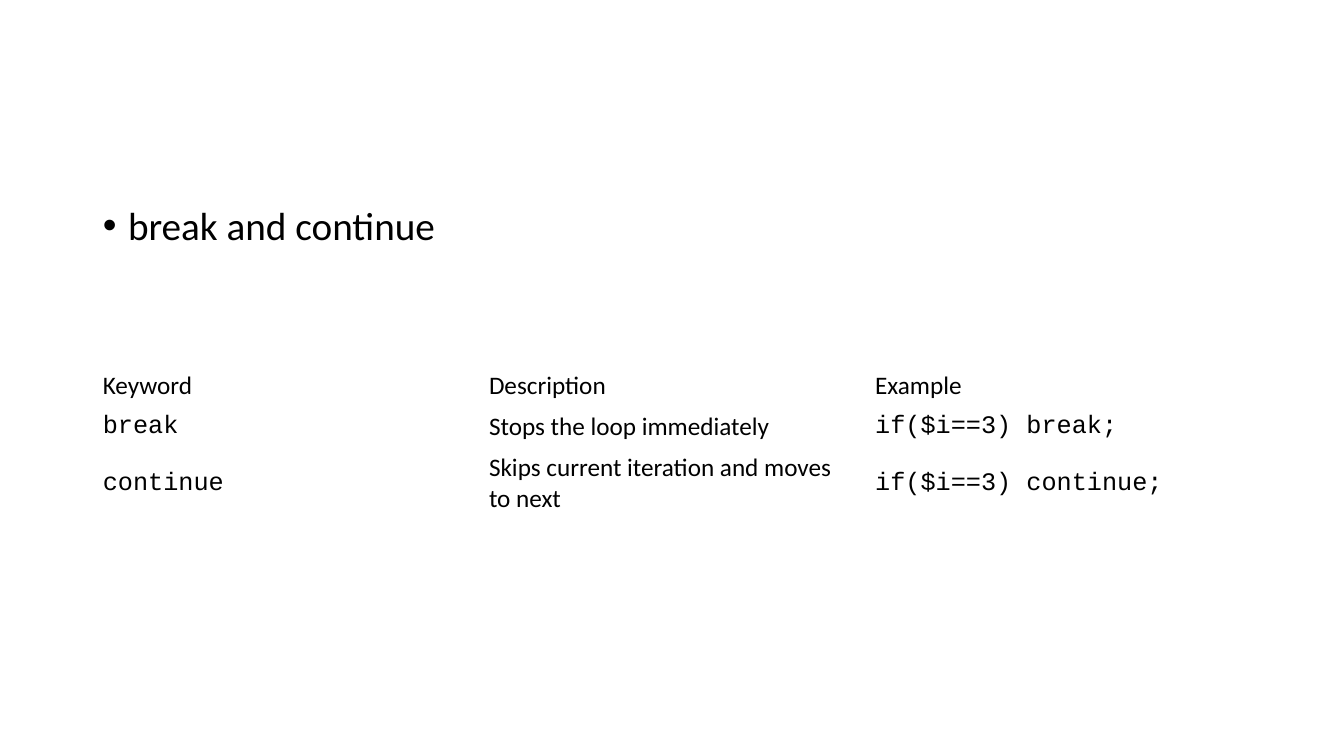
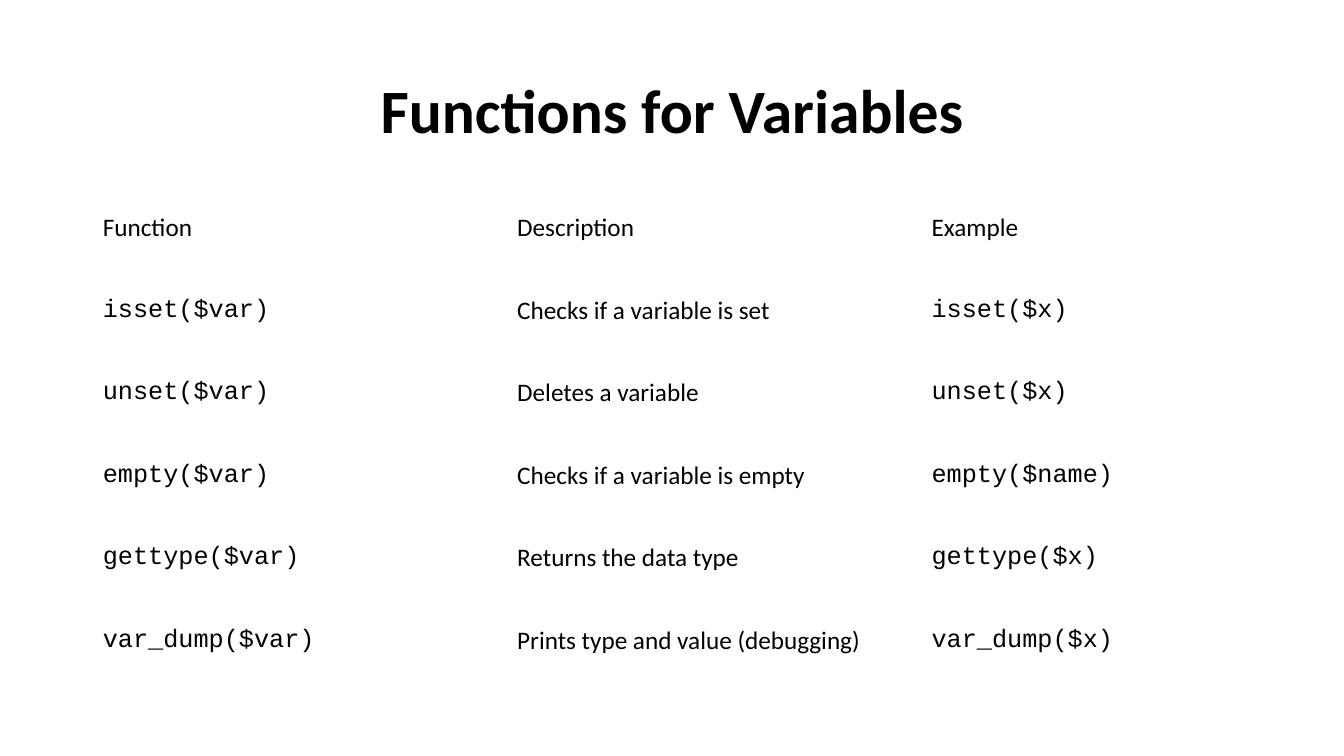
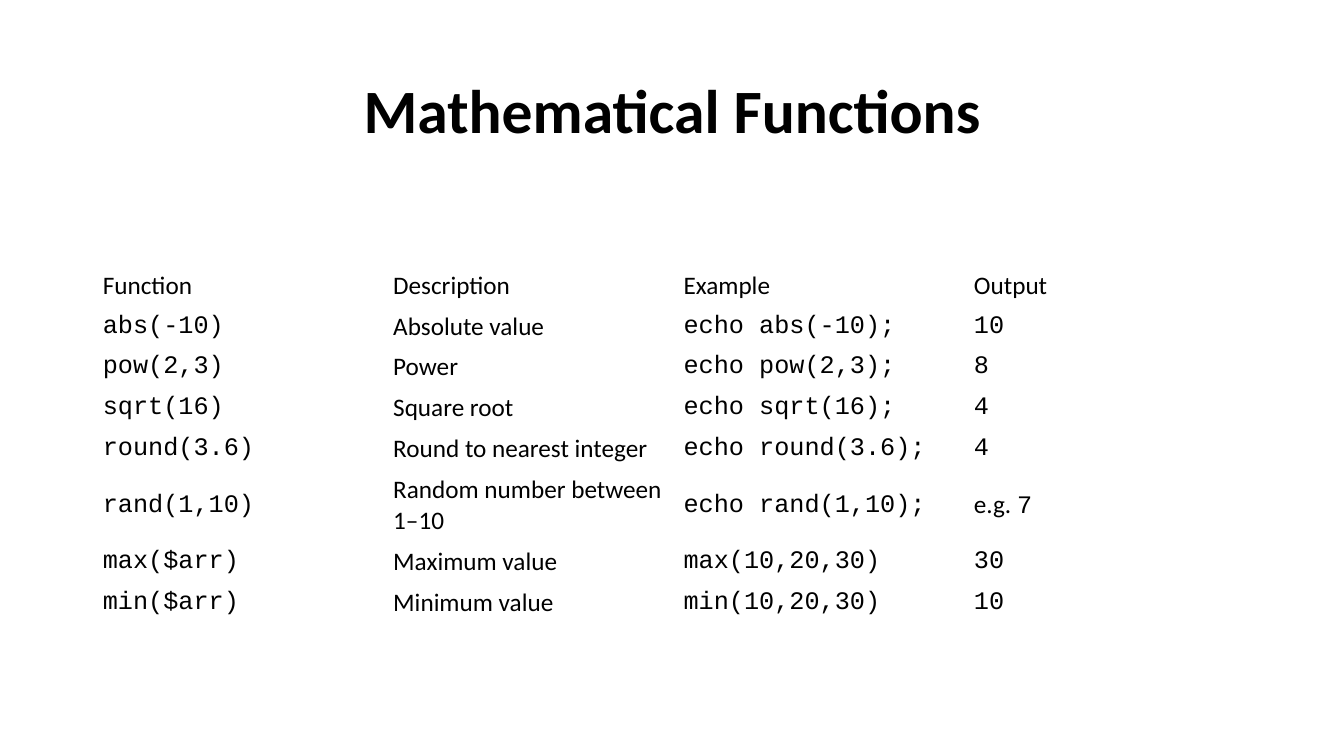
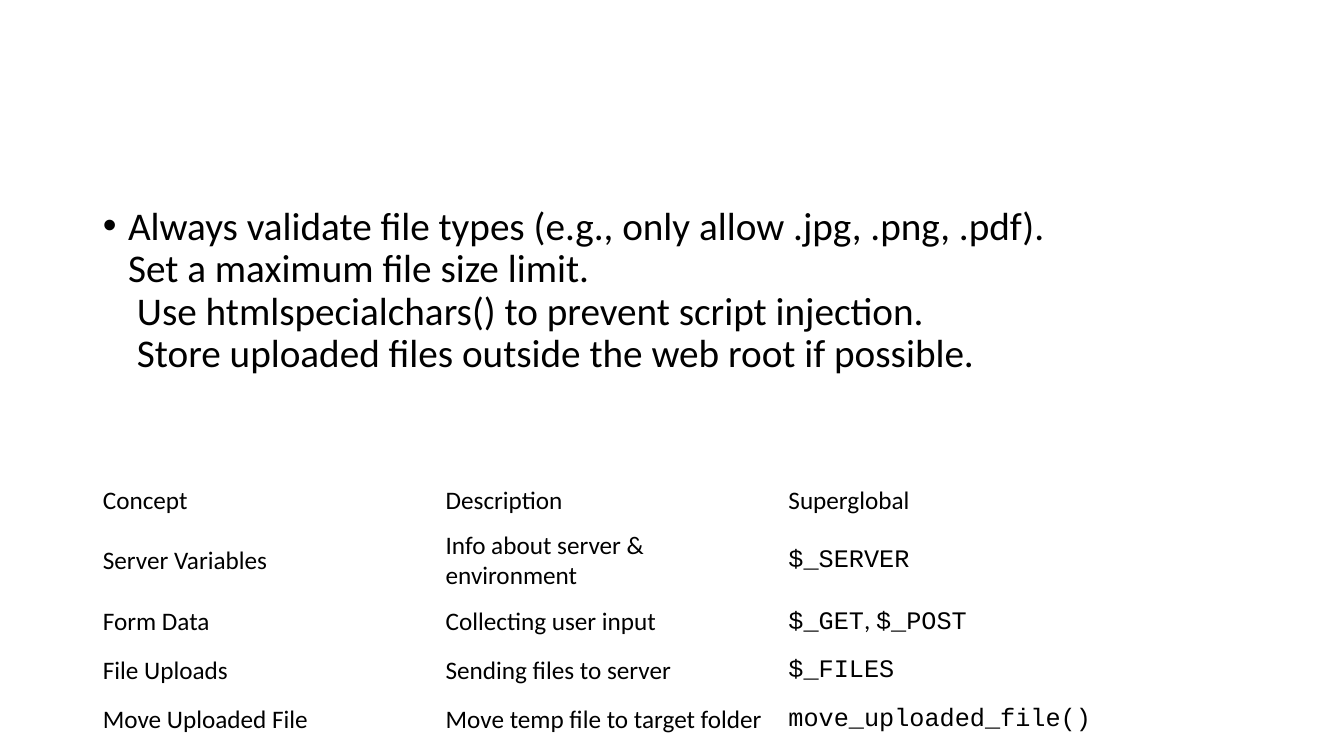
"""Build four slides of PHP reference tables."""
import copy

import pptx
import pptx.dml.color
import pptx.enum.text
import pptx.oxml
import pptx.oxml.ns
import pptx.util

Inches = pptx.util.Inches
Pt = pptx.util.Pt

COLORS = {"text": "000000"}
TEXT_FONT, CODE_FONT = "Calibri", "Courier New"
CODE_MARK = "`"
LEFT, WIDTH = 0.92, 11.5
TITLE_LAYOUT, BODY_LAYOUT = 5, 1

SLIDES = [
    {
        "body": "break and continue",
        "top": 3.63, "column": 3.83, "row": 0.4,
        "cells": [
            ("Keyword", "Description", "Example"),
            ("`break`", "Stops the loop immediately", "`if($i==3) break;`"),
            ("`continue`", "Skips current iteration and moves to next", "`if($i==3) continue;`"),
        ],
    },
    {
        "title": "Functions for Variables",
        "top": 1.85, "column": 4.11, "row": 0.82,
        "cells": [
            ("Function", "Description", "Example"),
            ("`isset($var)`", "Checks if a variable is set", "`isset($x)`"),
            ("`unset($var)`", "Deletes a variable", "`unset($x)`"),
            ("`empty($var)`", "Checks if a variable is empty", "`empty($name)`"),
            ("`gettype($var)`", "Returns the data type", "`gettype($x)`"),
            ("`var_dump($var)`", "Prints type and value (debugging)", "`var_dump($x)`"),
        ],
    },
    {
        "title": "Mathematical Functions",
        "top": 2.63, "column": 2.88, "row": 0.4,
        "cells": [
            ("Function", "Description", "Example", "Output"),
            ("`abs(-10)`", "Absolute value", "`echo abs(-10);`", "`10`"),
            ("`pow(2,3)`", "Power", "`echo pow(2,3);`", "`8`"),
            ("`sqrt(16)`", "Square root", "`echo sqrt(16);`", "`4`"),
            ("`round(3.6)`", "Round to nearest integer", "`echo round(3.6);`", "`4`"),
            ("`rand(1,10)`", "Random number between 1–10", "`echo rand(1,10);`", "e.g. `7`"),
            ("`max($arr)`", "Maximum value", "`max(10,20,30)`", "`30`"),
            ("`min($arr)`", "Minimum value", "`min(10,20,30)`", "`10`"),
        ],
    },
    {
        "body": "Always validate file types (e.g., only allow .jpg, .png, .pdf).\n"
                "Set a maximum file size limit.\n"
                " Use htmlspecialchars() to prevent script injection.\n"
                " Store uploaded files outside the web root if possible.",
        "top": 4.72, "column": 3.4, "row": 0.49,
        "cells": [
            ("Concept", "Description", "Superglobal"),
            ("Server Variables", "Info about server & environment", "`$_SERVER`"),
            ("Form Data", "Collecting user input", "`$_GET`, `$_POST`"),
            ("File Uploads", "Sending files to server", "`$_FILES`"),
            ("Move Uploaded File", "Move temp file to target folder", "`move_uploaded_file()`"),
        ],
    },
]


def style_span(span, size, name=TEXT_FONT, bold=False):
    span.font.size = Pt(size)
    span.font.name = name
    span.font.bold = bold
    span.font.color.rgb = pptx.dml.color.RGBColor.from_string(COLORS["text"])


def fill_placeholder(box, text, top, height, size, bold=False):
    box.left, box.top = Inches(LEFT), Inches(top)
    box.width, box.height = Inches(WIDTH), Inches(height)
    frame = box.text_frame
    frame.word_wrap = True
    frame.auto_size = pptx.enum.text.MSO_AUTO_SIZE.NONE
    para = frame.paragraphs[0]
    para.text = text
    para.line_spacing = 0.9
    para.space_before = Pt(0)
    for span in para.runs:
        style_span(span, size, bold=bold)
    return para


def add_title(page, text):
    para = fill_placeholder(page.shapes.title, text, 0.4, 1.45, 44, bold=True)
    para.alignment = pptx.enum.text.PP_ALIGN.CENTER
    page.shapes.title.text_frame.vertical_anchor = pptx.enum.text.MSO_ANCHOR.MIDDLE


def add_body(page, text):
    title = page.shapes.title.element
    title.getparent().remove(title)
    para = fill_placeholder(page.placeholders[1], text, 2, 4.76, 28)
    properties = para._p.get_or_add_pPr()
    properties.set("marL", str(Inches(0.25)))
    properties.set("indent", str(Inches(-0.25)))
    for tag, key, value in (("a:buFont", "typeface", "Arial"), ("a:buChar", "char", "•")):
        bullet = pptx.oxml.parse_xml(f'<{tag} {pptx.oxml.ns.nsdecls("a")} {key}="{value}"/>')
        properties.append(bullet)
    for line_break in para._p.findall(pptx.oxml.ns.qn("a:br")):
        line_break.insert(0, copy.deepcopy(para.runs[0]._r.rPr))


def fill_cell(cell, text):
    cell.fill.background()
    cell.vertical_anchor = pptx.enum.text.MSO_ANCHOR.MIDDLE
    para = cell.text_frame.paragraphs[0]
    for index, part in enumerate(text.split(CODE_MARK)):
        if part:
            span = para.add_run()
            span.text = part
            style_span(span, 18, CODE_FONT if index % 2 else TEXT_FONT)


def add_grid(page, top, column, row, cells):
    rows, columns = len(cells), len(cells[0])
    table = page.shapes.add_table(rows, columns, Inches(LEFT), Inches(top),
                                  Inches(column * columns), Inches(row * rows)).table
    table.first_row = table.horz_banding = False
    for grid_column in table.columns:
        grid_column.width = Inches(column)
    for grid_row, texts in zip(table.rows, cells):
        grid_row.height = Inches(row)
        for cell, text in zip(grid_row.cells, texts):
            fill_cell(cell, text)


def main():
    deck = pptx.Presentation()
    deck.slide_width, deck.slide_height = Inches(13.33), Inches(7.5)
    for content in SLIDES:
        layout = TITLE_LAYOUT if "title" in content else BODY_LAYOUT
        page = deck.slides.add_slide(deck.slide_layouts[layout])
        if "title" in content:
            add_title(page, content["title"])
        else:
            add_body(page, content["body"])
        add_grid(page, content["top"], content["column"], content["row"], content["cells"])
    deck.save("out.pptx")


if __name__ == "__main__":
    main()
